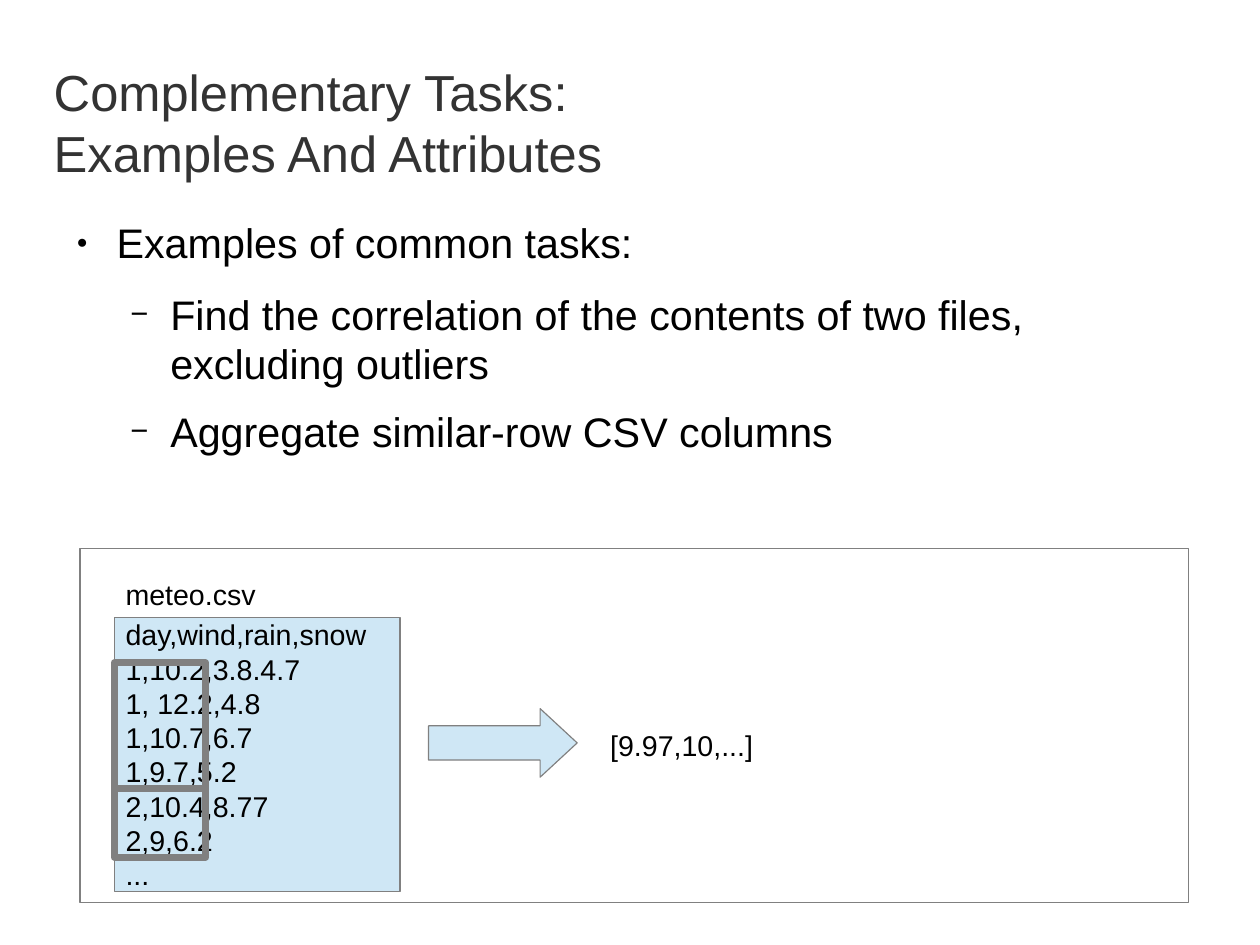
from dataclasses import dataclass, field
from typing import Any, Optional

from lxml.etree import SubElement
from pptx import Presentation
from pptx.dml.color import RGBColor
from pptx.enum.shapes import MSO_SHAPE
from pptx.enum.text import MSO_ANCHOR, PP_ALIGN
from pptx.oxml.ns import qn
from pptx.util import Inches, Pt

BLACK = RGBColor(0x00, 0x00, 0x00)
DARK = RGBColor(0x33, 0x33, 0x33)
GRAY = RGBColor(0x80, 0x80, 0x80)
WHITE = RGBColor(0xFF, 0xFF, 0xFF)
SKY = RGBColor(0xCF, 0xE7, 0xF5)

FONT = "Arial"
FLUSH = dict.fromkeys(
    ("margin_left", "margin_top", "margin_right", "margin_bottom"), 0)


@dataclass
class Box:
    """A shape without text."""
    at: tuple[float, float, float, float]
    fill: Optional[RGBColor] = None
    width: float = 0
    kind: MSO_SHAPE = MSO_SHAPE.RECTANGLE
    adjust: tuple[float, ...] = ()


@dataclass
class Label:
    """A text box."""
    at: tuple[float, float, float, float]
    lines: list[str]
    size: float = 18
    color: RGBColor = BLACK
    frame: dict[str, Any] = field(default_factory=dict)


@dataclass
class Bullet:
    """The look of one list level."""
    mark: str
    scale: int
    indent: float
    after: float


def apply(target: Any, format: dict[str, Any]) -> None:
    for name, value in format.items():
        setattr(target, name, value)


def write(shape: Any, lines: list[str], size: float = 18,
          color: RGBColor = BLACK, **frame: Any) -> None:
    text = shape.text_frame
    apply(text, {"word_wrap": True, **frame})
    text.text = "\n".join(lines)
    for para in text.paragraphs:
        para.alignment = PP_ALIGN.LEFT
        for run in para.runs:
            apply(run.font, {"name": FONT, "size": Pt(size)})
            run.font.color.rgb = color


def draw(slide: Any, box: Box) -> Any:
    shape = slide.shapes.add_shape(box.kind, *map(Inches, box.at))
    shape.shadow.inherit = False
    for index, value in enumerate(box.adjust):
        shape.adjustments[index] = value
    if box.fill is None:
        shape.fill.background()
    else:
        shape.fill.solid()
        shape.fill.fore_color.rgb = box.fill
    shape.line.color.rgb = GRAY
    shape.line.width = Pt(box.width)
    return shape


def place(slide: Any, label: Label) -> Any:
    shape = slide.shapes.add_textbox(*map(Inches, label.at))
    write(shape, label.lines, label.size, label.color, **label.frame)
    return shape


def mark(para: Any, style: Bullet, level: int) -> None:
    apply(para, {"level": level, "space_after": Pt(style.after)})
    props = para._p.get_or_add_pPr()
    props.set("marL", str(Inches(style.indent)))
    props.set("indent", str(Inches(-0.35)))
    tint = SubElement(props, qn("a:buClr"))
    SubElement(tint, qn("a:srgbClr"), val=str(BLACK))
    SubElement(props, qn("a:buSzPct"), val=str(style.scale * 1000))
    SubElement(props, qn("a:buFont"), typeface=FONT)
    SubElement(props, qn("a:buChar"), char=style.mark)


LEVELS = [Bullet("●", 45, 0.47, 14.2), Bullet("−", 75, 0.94, 11.3)]
TASKS = [
    (0, "Examples of common tasks:"),
    (1, "Find the correlation of the contents of two files, excluding outliers"),
    (1, "Aggregate similar-row CSV columns"),
]
ROWS = ["day,wind,rain,snow", "1,10.2,3.8.4.7", "1, 12.2,4.8", "1,10.7,6.7",
        "1,9.7,5.2", "2,10.4,8.77", "2,9,6.2", "..."]
TITLE = Label((0.47, 0.57, 7.72, 0.99),
              ["Complementary Tasks:\vExamples And Attributes"], 31.9, DARK,
              {**FLUSH, "vertical_anchor": MSO_ANCHOR.MIDDLE})
BODY = Label((0.55, 1.9, 9.7, 5.19), [task for _, task in TASKS], 26,
             frame=FLUSH)
NOTES = [Label((1, 5, 1.4, 0.43), ["meteo.csv"]),
         Label((5.24, 6.32, 2.3, 0.38), ["[9.97,10,...]"])]
PANEL = Box((0.7, 4.8, 9.7, 3.1), WHITE)
SHEET = Box((1, 5.4, 2.5, 2.4), SKY)
MARKS = [
    Box((3.75, 6.2, 1.3, 0.6), SKY, kind=MSO_SHAPE.RIGHT_ARROW,
        adjust=(0.5, 0.54)),
    Box((1, 5.8, 0.8, 1.1), width=4.31),
    Box((1, 6.9, 0.8, 0.6), width=4.31),
]


def main() -> None:
    # Page of 28 by 21 centimetres
    deck = Presentation()
    deck.slide_width = Inches(28 / 2.54)
    deck.slide_height = Inches(21 / 2.54)
    slide = deck.slides.add_slide(deck.slide_layouts[6])

    # Task list and title
    body = place(slide, BODY)
    for para, (level, _) in zip(body.text_frame.paragraphs, TASKS):
        mark(para, LEVELS[level], level)
    place(slide, TITLE)

    # Panel with the CSV file
    draw(slide, PANEL)
    write(draw(slide, SHEET), ROWS, word_wrap=False,
          vertical_anchor=MSO_ANCHOR.MIDDLE)
    for note in NOTES:
        place(slide, note)

    # Arrow and row groups
    for box in MARKS:
        draw(slide, box)

    deck.save("out.pptx")


if __name__ == "__main__":
    main()
